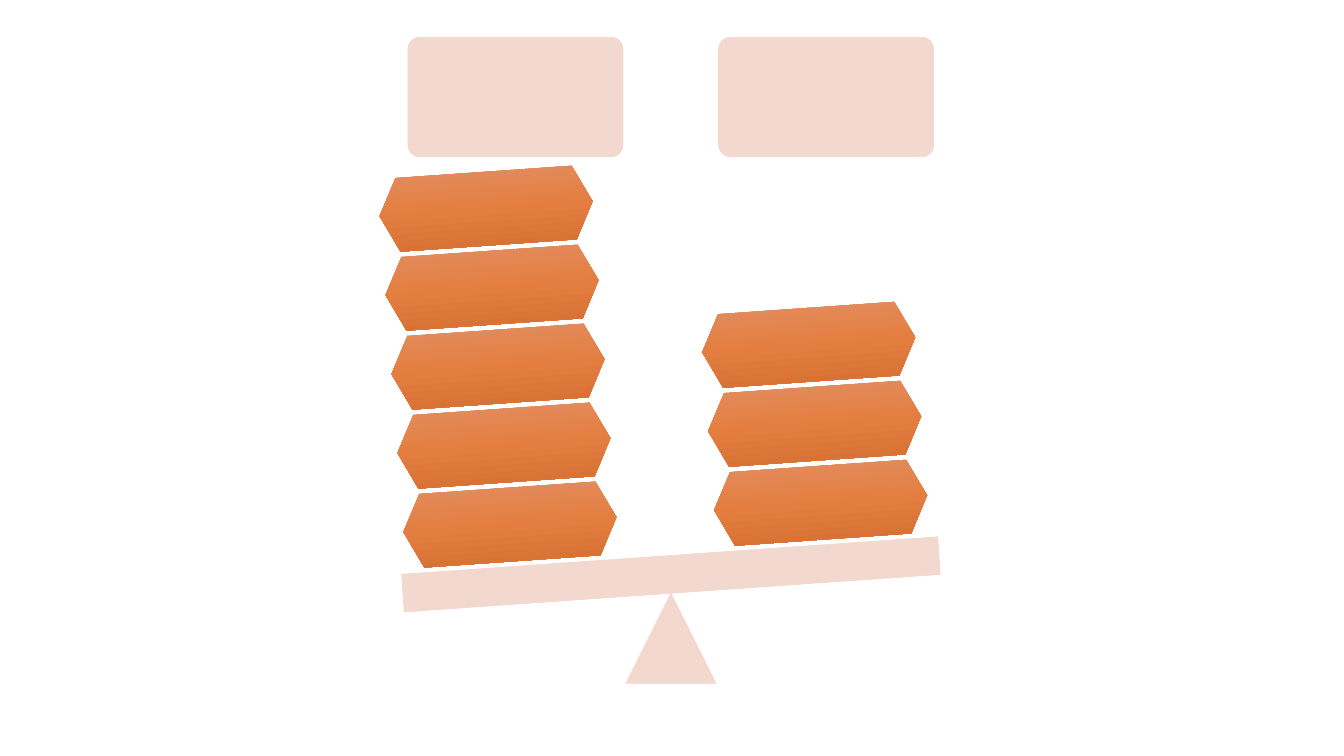
from lxml import etree
from pptx import Presentation
from pptx.dml.color import RGBColor
from pptx.enum.shapes import MSO_SHAPE
from pptx.oxml import parse_xml
from pptx.oxml.ns import nsdecls, qn
from pptx.util import Cm, Pt

ROUNDED = MSO_SHAPE.ROUNDED_RECTANGLE
RECTANGLE = MSO_SHAPE.RECTANGLE
TRIANGLE = MSO_SHAPE.ISOSCELES_TRIANGLE
HEXAGON = MSO_SHAPE.HEXAGON

PALE = "F2D8CF"
WEIGHT_STOPS = ((0, "E28F63"), (50, "E47E40"), (100, "D46E30"))
TILT = -4
PAN_SPACING = 7.83
PAN_RISE = 0.55
WEIGHT_SHIFT = 0.15
WEIGHT_PITCH = 1.99


def color(hex_string):
    """Return the colour for a hex string."""
    return RGBColor.from_string(hex_string)


def add_part(slide, kind, left, top, width, height, rotation=0):
    """Add a pale shape with a thin outline of the same colour."""
    shape = slide.shapes.add_shape(kind, Cm(left), Cm(top), Cm(width), Cm(height))
    shape.shadow.inherit = False
    shape.rotation = rotation
    shape.fill.solid()
    shape.fill.fore_color.rgb = color(PALE)
    shape.line.color.rgb = color(PALE)
    shape.line.width = Pt(0.5)
    return shape


def shade_weight(shape):
    """Give a weight its vertical three-colour gradient and no outline."""
    gradient = parse_xml(f'<a:gradFill {nsdecls("a")} rotWithShape="1"><a:gsLst/>'
                         '<a:lin ang="5400000" scaled="0"/></a:gradFill>')
    for position, hex_string in WEIGHT_STOPS:
        stop = etree.SubElement(gradient[0], qn("a:gs"), pos=str(position * 1000))
        etree.SubElement(stop, qn("a:srgbClr"), val=hex_string)
    properties = shape.fill._xPr
    properties.replace(properties.find(qn("a:solidFill")), gradient)
    shape.line.fill.background()


def add_cards(slide, left, top, width, height):
    """Place the two empty cards above the pans."""
    for index in range(2):
        card = add_part(slide, ROUNDED, left + index * PAN_SPACING, top, width, height)
        card.adjustments[0] = 0.1


def add_balance(slide, left, top, width, height):
    """Place the pivot and the tilted beam resting on it."""
    beam_height = 0.95
    pivot_size = height - beam_height
    add_part(slide, TRIANGLE, left + (width - pivot_size) / 2, top + beam_height,
             pivot_size, pivot_size)
    add_part(slide, RECTANGLE, left, top, width, beam_height, TILT)


def add_stack(slide, left, top, width, height, count):
    """Stack tilted weights upwards from the lowest one's box."""
    for level in range(count):
        weight = add_part(slide, HEXAGON, left - level * WEIGHT_SHIFT,
                          top - level * WEIGHT_PITCH, width, height, TILT)
        shade_weight(weight)


def main():
    """Build the balance slide and save it."""
    presentation = Presentation()
    presentation.slide_width, presentation.slide_height = Cm(33.87), Cm(19.05)
    slide = presentation.slides.add_slide(presentation.slide_layouts[6])
    add_cards(slide, 10.28, 0.94, 5.42, 3.01)
    add_balance(slide, 10.14, 14, 13.54, 3.22)
    for index, count in enumerate((5, 3)):
        add_stack(slide, 10.16 + index * PAN_SPACING, 12.29 - index * PAN_RISE,
                  5.38, 1.86, count)
    presentation.save("out.pptx")


if __name__ == "__main__":
    main()
